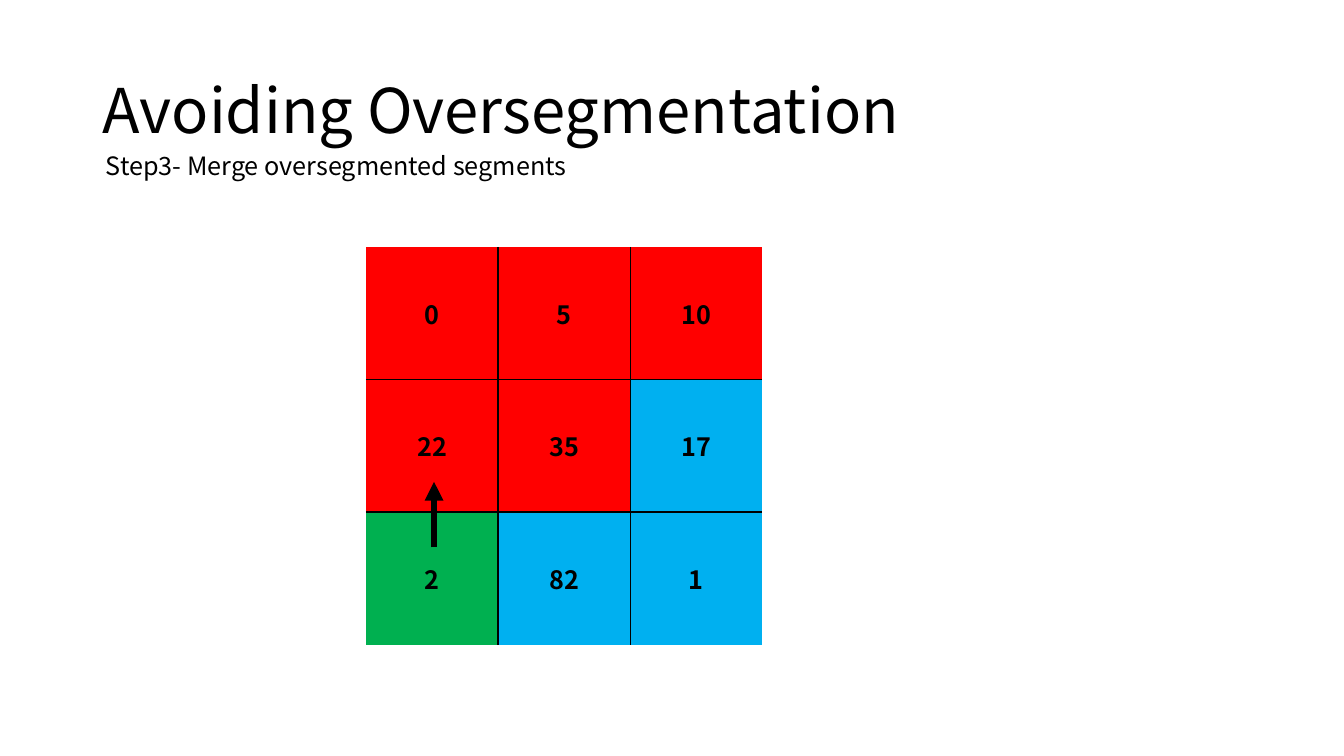
from dataclasses import dataclass

from lxml.etree import SubElement
from pptx import Presentation
from pptx.dml.color import RGBColor
from pptx.enum.shapes import MSO_CONNECTOR as Connector
from pptx.enum.text import MSO_ANCHOR as Anchor, MSO_AUTO_SIZE as AutoSize, PP_ALIGN as Align
from pptx.oxml.ns import qn
from pptx.slide import Slide
from pptx.table import _Cell as TableCell
from pptx.text.text import _Paragraph as Paragraph
from pptx.util import Inches, Pt

COLORS = {"ink": "000000", "red": "FF0000", "blue": "00B0F0", "green": "00B050"}
FONT = "Noto Sans CJK KR"
GRID_LEFT, GRID_TOP = 3.63, 2.45
COLUMN, ROW = 1.31, 1.315


@dataclass(frozen=True)
class Pixel:
    value: int
    segment: str


PIXELS = [
    [Pixel(0, "red"), Pixel(5, "red"), Pixel(10, "red")],
    [Pixel(22, "red"), Pixel(35, "red"), Pixel(17, "blue")],
    [Pixel(2, "green"), Pixel(82, "blue"), Pixel(1, "blue")],
]


def color(name: str) -> RGBColor:
    return RGBColor.from_string(COLORS[name])


def write(para: Paragraph, text: str, size: float, align: Align, bold: bool = False) -> None:
    para.text = text
    para.alignment = align
    para.font.name = FONT
    para.font.size = Pt(size)
    para.font.bold = bold
    para.font.color.rgb = color("ink")


def add_border(cell: TableCell, side: str, inner: bool) -> None:
    line = SubElement(cell._tc.get_or_add_tcPr(), qn(f"a:ln{side}"), w=str(Pt(1)))
    if inner:
        fill = SubElement(line, qn("a:solidFill"))
        SubElement(fill, qn("a:srgbClr"), val=COLORS["ink"])
    else:
        SubElement(line, qn("a:noFill"))


def add_heading(page: Slide) -> None:
    title = page.shapes.title
    title.left, title.top = Inches(0.92), Inches(0.4)
    title.width, title.height = Inches(11.5), Inches(1.45)
    title.text_frame.vertical_anchor = Anchor.MIDDLE
    title.text_frame.auto_size = AutoSize.NONE
    para = title.text_frame.paragraphs[0]
    write(para, "Avoiding Oversegmentation", 44, Align.LEFT)
    para.line_spacing = 0.9


def add_step(page: Slide) -> None:
    box = page.shapes.add_textbox(Inches(0.95), Inches(1.44), Inches(6.21), Inches(0.4))
    box.text_frame.word_wrap = True
    box.text_frame.auto_size = AutoSize.SHAPE_TO_FIT_TEXT
    write(box.text_frame.paragraphs[0], "Step3- Merge oversegmented segments", 18, Align.LEFT)


def add_pixels(page: Slide) -> None:
    rows, columns = len(PIXELS), len(PIXELS[0])
    table = page.shapes.add_table(
        rows, columns, Inches(GRID_LEFT), Inches(GRID_TOP),
        Inches(columns * COLUMN), Inches(rows * ROW),
    ).table
    table.first_row = table.horz_banding = False
    for row, pixels in enumerate(PIXELS):
        for column, pixel in enumerate(pixels):
            cell = table.cell(row, column)
            cell.vertical_anchor = Anchor.MIDDLE
            write(cell.text_frame.paragraphs[0], str(pixel.value), 18, Align.CENTER, bold=True)
            inner_sides = {
                "L": column > 0,
                "R": column < columns - 1,
                "T": row > 0,
                "B": row < rows - 1,
            }
            for side, inner in inner_sides.items():
                add_border(cell, side, inner)
            cell.fill.solid()
            cell.fill.fore_color.rgb = color(pixel.segment)


def add_merge_arrow(page: Slide) -> None:
    center = Inches(GRID_LEFT + COLUMN / 2 + 0.02)
    boundary = GRID_TOP + 2 * ROW
    arrow = page.shapes.add_connector(
        Connector.STRAIGHT, center, Inches(boundary + 0.35), center, Inches(boundary - 0.3)
    )
    arrow.line.width = Pt(4.5)
    arrow.line.color.rgb = color("ink")
    SubElement(arrow.line._get_or_add_ln(), qn("a:tailEnd"), type="triangle")
    SubElement(arrow._element.spPr, qn("a:effectLst"))


def main() -> None:
    deck = Presentation()
    deck.slide_width, deck.slide_height = Inches(13.33), Inches(7.5)
    page = deck.slides.add_slide(deck.slide_layouts[5])
    add_heading(page)
    add_pixels(page)
    add_step(page)
    add_merge_arrow(page)
    deck.save("out.pptx")


if __name__ == "__main__":
    main()
